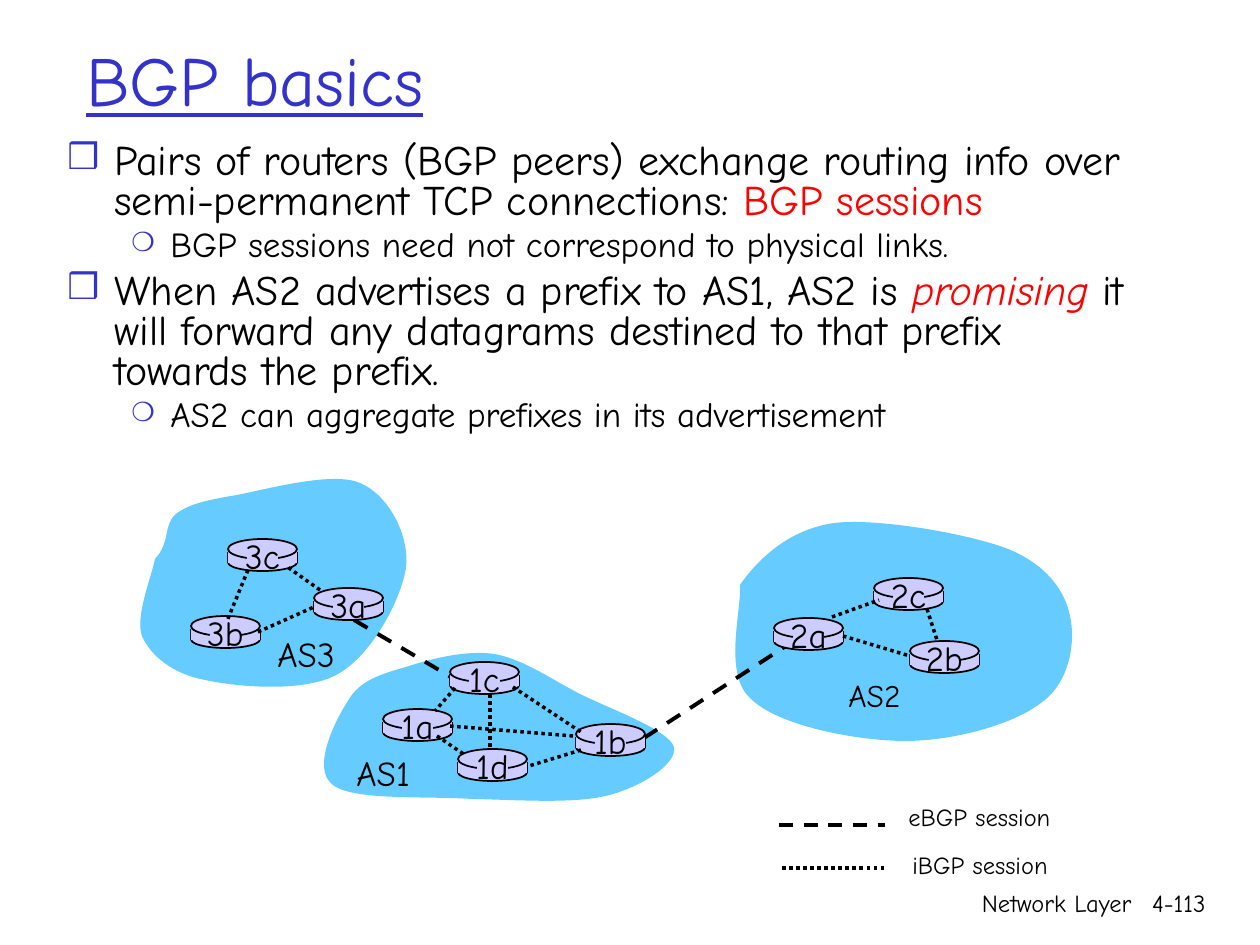
from lxml import etree
from pptx import Presentation
from pptx.dml.color import RGBColor
from pptx.enum.dml import MSO_LINE
from pptx.enum.shapes import MSO_CONNECTOR, MSO_SHAPE
from pptx.enum.text import MSO_ANCHOR, PP_ALIGN
from pptx.oxml.ns import qn
from pptx.util import Pt

PX = 914400 / 126
FONT = "Comic Neue"
BLACK = RGBColor(0x00, 0x00, 0x00)
WHITE = RGBColor(0xFF, 0xFF, 0xFF)
BLUE = RGBColor(0x33, 0x33, 0xCC)
RED = RGBColor(0xFF, 0x00, 0x00)
SKY = RGBColor(0x66, 0xCC, 0xFF)
LILAC = RGBColor(0xCC, 0xCC, 0xFF)

ELLIPSE, RECTANGLE = MSO_SHAPE.OVAL, MSO_SHAPE.RECTANGLE
STRAIGHT = MSO_CONNECTOR.STRAIGHT
DASH, DOT = MSO_LINE.DASH, MSO_LINE.ROUND_DOT
LEFT, CENTER, RIGHT = PP_ALIGN.LEFT, PP_ALIGN.CENTER, PP_ALIGN.RIGHT
TOP, MIDDLE = MSO_ANCHOR.TOP, MSO_ANCHOR.MIDDLE

BULLET_LEVELS = [
    {"size": 24, "margin": 47, "indent": -47, "char": "❒", "percent": 85},
    {"size": 20, "margin": 103, "indent": -39, "char": "❍", "percent": 75},
]
BULLETS = [
    (0, [("Pairs of routers (BGP peers) exchange routing info over "
          "semi-permanent TCP connections: ", {}),
         ("BGP sessions", {"color": RED})]),
    (1, [("BGP sessions need not correspond to physical links.", {})]),
    (0, [("When AS2 advertises a prefix to AS1, AS2 is ", {}),
         ("promising", {"color": RED, "italic": True}),
         (" it will forward any datagrams destined to that prefix "
          "towards the prefix.", {})]),
    (1, [("AS2 can aggregate prefixes in its advertisement", {})]),
]

CLOUDS = [
    ((740, 585), [
        (759, 558), (790, 529), (835, 523), (879, 518), (969, 534), (1008, 549),
        (1047, 565), (1065, 591), (1070, 616), (1076, 641), (1070, 683), (1041, 703),
        (1013, 725), (950, 742), (901, 741), (852, 740), (776, 725), (750, 698),
        (723, 673), (742, 609), (740, 585)]),
    ((155, 559), [
        (171, 542), (163, 525), (176, 514), (189, 504), (207, 500), (237, 495),
        (268, 489), (333, 471), (360, 483), (389, 495), (410, 536), (406, 568),
        (401, 600), (372, 655), (338, 674), (305, 693), (237, 687), (205, 680),
        (173, 674), (151, 656), (142, 636), (135, 616), (152, 576), (155, 559)]),
    ((348, 701), [
        (360, 680), (382, 674), (406, 667), (431, 659), (465, 650), (494, 654),
        (523, 659), (549, 678), (580, 694), (610, 709), (669, 730), (674, 747),
        (678, 764), (640, 788), (606, 796), (573, 804), (517, 800), (471, 799),
        (426, 796), (353, 801), (333, 785), (311, 769), (335, 721), (348, 701)]),
]
ROUTERS = [
    ("3b", 191, 616), ("1d", 458, 749), ("3a", 314, 588), ("1c", 450, 662),
    ("2a", 774, 618), ("1a", 383, 709), ("2c", 874, 578), ("2b", 910, 641),
    ("1b", 576, 724), ("3c", 228, 539),
]
EBGP_LINKS = [(354, 620, 451, 677), (644, 738, 786, 646)]
IBGP_LINKS = [
    (843, 636, 910, 656), (258, 632, 314, 607), (455, 688, 435, 711),
    (490, 694, 490, 747), (513, 687, 581, 732), (581, 750, 529, 766),
    (573, 736, 450, 726), (832, 617, 879, 600), (320, 590, 286, 566),
    (248, 570, 227, 621), (927, 609, 937, 640), (437, 736, 465, 755),
]
CAPTIONS = [
    ("AS3", 20, (265, 626, 97, 54)),
    ("AS1", 20, (344, 745, 91, 54)),
    ("AS2", 18, (836, 670, 89, 50)),
    ("eBGP session", 14, (896, 796, 173, 42)),
    ("iBGP session", 14, (900, 844, 166, 42)),
]


def px(*lengths):
    return [round(length * PX) for length in lengths]


def write(paragraph, text, *, size, color=BLACK, italic=None, underline=None):
    run = paragraph.add_run()
    run.text = text
    run.font.name = FONT
    run.font.size = Pt(size)
    run.font.color.rgb = color
    run.font.italic = italic
    run.font.underline = underline


def add_frame(slide, box, *, anchor=TOP, wrap=True):
    frame = slide.shapes.add_textbox(*px(*box)).text_frame
    frame.word_wrap = wrap
    frame.vertical_anchor = anchor
    return frame


def add_label(slide, text, box, *, align=LEFT, anchor=TOP, wrap=False, **style):
    paragraph = add_frame(slide, box, anchor=anchor, wrap=wrap).paragraphs[0]
    paragraph.alignment = align
    write(paragraph, text, **style)


def set_bullet(paragraph, level):
    properties = paragraph._p.get_or_add_pPr()
    margin, indent = px(level["margin"], level["indent"])
    properties.set("marL", str(margin))
    properties.set("indent", str(indent))
    color = etree.SubElement(properties, qn("a:buClr"))
    etree.SubElement(color, qn("a:srgbClr"), val=str(BLUE))
    etree.SubElement(properties, qn("a:buSzPct"), val=str(level["percent"] * 1000))
    etree.SubElement(properties, qn("a:buFont"), typeface=FONT)
    etree.SubElement(properties, qn("a:buChar"), char=level["char"])


def add_bullets(slide, box):
    frame = add_frame(slide, box)
    for index, (depth, runs) in enumerate(BULLETS):
        level = BULLET_LEVELS[depth]
        paragraph = frame.add_paragraph() if index else frame.paragraphs[0]
        paragraph.level = depth
        paragraph.line_spacing = 0.8
        paragraph.space_before = Pt(level["size"] * 0.2)
        set_bullet(paragraph, level)
        for text, style in runs:
            write(paragraph, text, size=level["size"], **style)


def paint(shape, fill, outlined=False):
    shape.shadow.inherit = False
    shape.fill.solid()
    shape.fill.fore_color.rgb = fill
    if outlined:
        shape.line.color.rgb = BLACK
        shape.line.width = Pt(1)
    else:
        shape.line.fill.background()


def add_line(slide, ends, width, dash=None):
    line = slide.shapes.add_connector(STRAIGHT, *px(*ends))
    line.line.color.rgb = BLACK
    line.line.width = Pt(width)
    line.line.dash_style = dash
    etree.SubElement(line._element.spPr, qn("a:effectLst"))


def add_cloud(slide, start, controls):
    builder = slide.shapes.build_freeform(*px(*start))
    builder.add_line_segments([px(*point) for point in controls], close=True)
    cloud = builder.convert_to_shape()
    segments = list(cloud._element.iter(qn("a:lnTo")))
    for first in range(0, len(segments), 3):
        curve = etree.Element(qn("a:cubicBezTo"))
        segments[first].addprevious(curve)
        for segment in segments[first:first + 3]:
            curve.append(segment[0])
            segment.getparent().remove(segment)
    paint(cloud, SKY)


def add_router(slide, name, x, y):
    def part(kind, box, outlined=False):
        paint(slide.shapes.add_shape(kind, *px(*box)), LILAC, outlined)

    part(ELLIPSE, (x, y + 15, 69, 17), True)
    for side in (x, x + 69):
        add_line(slide, (side, y + 13, side, y + 24), 1)
    part(RECTANGLE, (x, y + 13, 69, 11))
    part(ELLIPSE, (x, y, 69, 20), True)
    part(RECTANGLE, (x + 19, y + 3, 31, 25))
    add_label(slide, name, (x + 2, y - 11, 65, 54), size=20, align=CENTER)


def main():
    deck = Presentation()
    deck.slide_width, deck.slide_height = px(1260, 945)
    slide = deck.slides.add_slide(deck.slide_layouts[6])
    slide.background.fill.solid()
    slide.background.fill.fore_color.rgb = WHITE

    add_label(slide, "Network Layer", (745, 882, 399, 63), size=14, align=RIGHT, wrap=True)
    add_label(slide, "4-113", (1125, 882, 93, 63), size=14, align=RIGHT, wrap=True)
    add_label(slide, "BGP basics", (74, 0, 1071, 157), size=40, color=BLUE,
              underline=True, anchor=MIDDLE, wrap=True)
    add_bullets(slide, (55, 137, 1089, 319))

    for start, controls in CLOUDS:
        add_cloud(slide, start, controls)
    for ends in EBGP_LINKS:
        add_line(slide, ends, 2.25, DASH)
    for router in ROUTERS:
        add_router(slide, *router)
    for ends in IBGP_LINKS:
        add_line(slide, ends, 2, DOT)
    add_line(slide, (779, 825, 885, 825), 2, DASH)
    add_line(slide, (782, 868, 887, 868), 2, DOT)
    for text, size, box in CAPTIONS:
        add_label(slide, text, box, size=size)

    deck.save("out.pptx")


if __name__ == "__main__":
    main()
